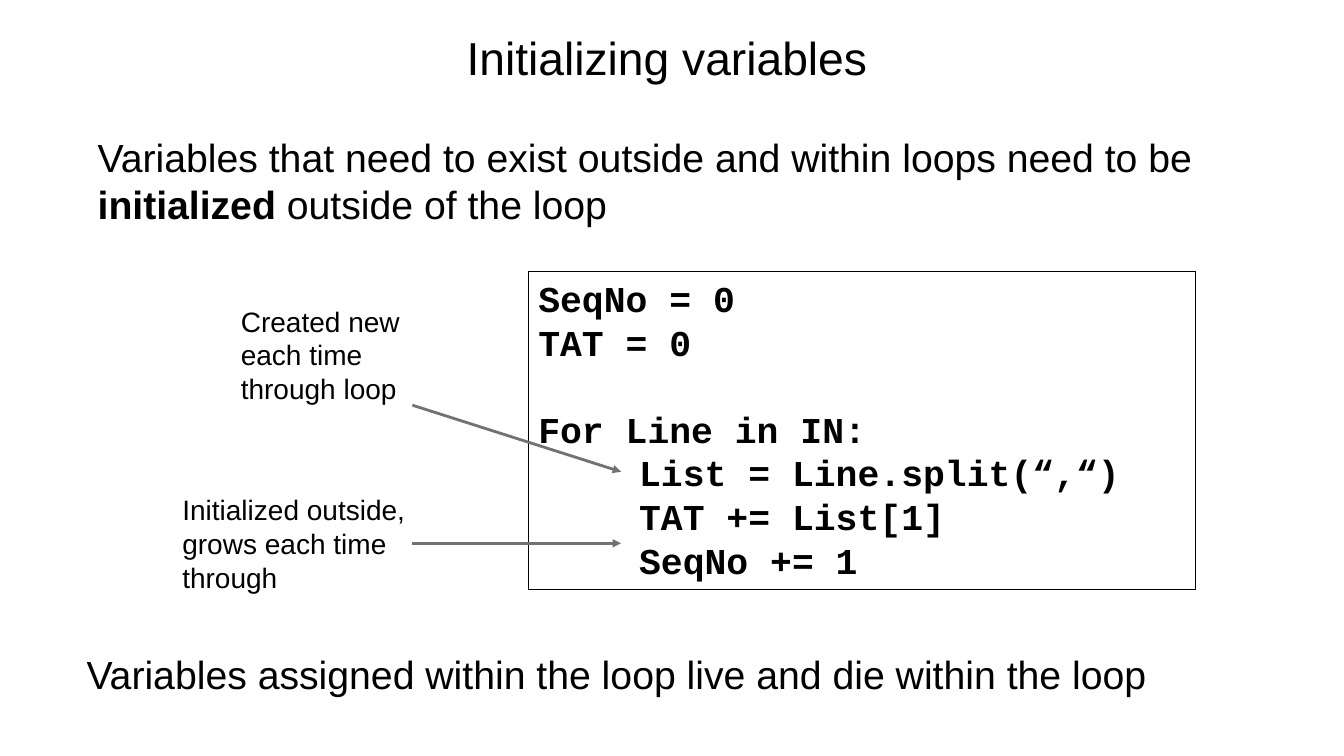
from dataclasses import dataclass

from lxml import etree
from pptx import Presentation
from pptx.dml.color import RGBColor
from pptx.enum import shapes, text
from pptx.oxml import ns
from pptx.util import Inches, Pt

BLACK = RGBColor(0x00, 0x00, 0x00)
GRAY = RGBColor(0x76, 0x71, 0x71)

BODY = {"name": "Arial", "size": Pt(28), "bold": False}
TITLE = BODY | {"size": Pt(33)}
NOTE = BODY | {"size": Pt(20)}
CODE = {"name": "Courier New", "size": Pt(26), "bold": True}
CODE_BREAK = Pt(31)
CODE_TAB = Inches(1)


@dataclass(frozen=True)
class Label:
    left: float
    top: float
    width: float
    height: float
    runs: tuple[str, ...]  # every second run is bold
    style: dict
    wrap: bool = True


@dataclass(frozen=True)
class Arrow:
    start_y: float
    end_y: float


LABELS = (
    Label(4.53, 0.24, 4.27, 0.66, ("Initializing variables",), TITLE, wrap=False),
    Label(0.87, 1.27, 12.35, 1.04,
          ("Variables that need to exist outside and within loops need to be ",
           "initialized", " outside of the loop"), BODY),
    Label(0.76, 6.4, 12.35, 0.57,
          ("Variables assigned within the loop live and die within the loop",), BODY),
    Label(2.29, 2.97, 1.8, 1.11, ("Created new each time through loop",), NOTE),
    Label(1.71, 4.84, 3.04, 1.11,
          ("Initialized outside, grows each time through",), NOTE),
)

CODE_BLOCKS = (
    ("SeqNo = 0", "TAT = 0"),
    ("For Line in IN:", "\tList = Line.split(“,“)", "\tTAT += List[1]", "\tSeqNo += 1"),
)

ARROW_LEFT, ARROW_RIGHT = 4.09, 6.16
ARROWS = (Arrow(4.02, 4.68), Arrow(5.39, 5.39))


def add_run(p, words: str, style: dict) -> None:
    r = p.add_run()
    r.text = words
    for name, value in style.items():
        setattr(r.font, name, value)
    r.font.color.rgb = BLACK


def add_label(s, label: Label) -> None:
    sp = s.shapes.add_textbox(*map(Inches, (label.left, label.top,
                                            label.width, label.height)))
    tf = sp.text_frame
    tf.word_wrap = label.wrap
    tf.auto_size = text.MSO_AUTO_SIZE.SHAPE_TO_FIT_TEXT
    for i, words in enumerate(label.runs):
        add_run(tf.paragraphs[0], words, label.style | {"bold": i % 2 == 1})


def set_tab_stop(p, position: int) -> None:
    tabs = etree.SubElement(p._p.get_or_add_pPr(), ns.qn("a:tabLst"))
    etree.SubElement(tabs, ns.qn("a:tab"), pos=str(int(position)), algn="l")


def add_code(s) -> None:
    sp = s.shapes.add_shape(shapes.MSO_SHAPE.RECTANGLE, Inches(5.24), Inches(2.69),
                            Inches(6.62), Inches(3.16))
    sp.shadow.inherit = False
    sp.fill.background()
    sp.line.color.rgb = BLACK
    sp.line.width = Pt(0.75)
    tf = sp.text_frame
    tf.word_wrap = True
    tf.vertical_anchor = text.MSO_ANCHOR.TOP
    tf.auto_size = text.MSO_AUTO_SIZE.SHAPE_TO_FIT_TEXT
    p = tf.paragraphs[0]
    for b, block in enumerate(CODE_BLOCKS):
        for i, line in enumerate(block):
            if b or i:
                p = tf.add_paragraph()
            if b and not i:
                p.space_before = CODE_BREAK
            p.alignment = text.PP_ALIGN.LEFT
            if line.startswith("\t"):
                set_tab_stop(p, CODE_TAB)
            add_run(p, line, CODE)


def add_arrow(s, arrow: Arrow) -> None:
    line = s.shapes.add_connector(
        shapes.MSO_CONNECTOR.STRAIGHT, Inches(ARROW_LEFT), Inches(arrow.start_y),
        Inches(ARROW_RIGHT), Inches(arrow.end_y))
    line.line.color.rgb = GRAY
    line.line.width = Pt(2)
    etree.SubElement(line.line._get_or_add_ln(), ns.qn("a:tailEnd"), type="triangle")
    etree.SubElement(line._element.spPr, ns.qn("a:effectLst"))


def main() -> None:
    prs = Presentation()
    prs.slide_width, prs.slide_height = Inches(13.33), Inches(7.5)
    s = prs.slides.add_slide(prs.slide_layouts[6])
    add_code(s)
    for label in LABELS:
        add_label(s, label)
    for arrow in ARROWS:
        add_arrow(s, arrow)
    prs.save("out.pptx")


if __name__ == "__main__":
    main()
